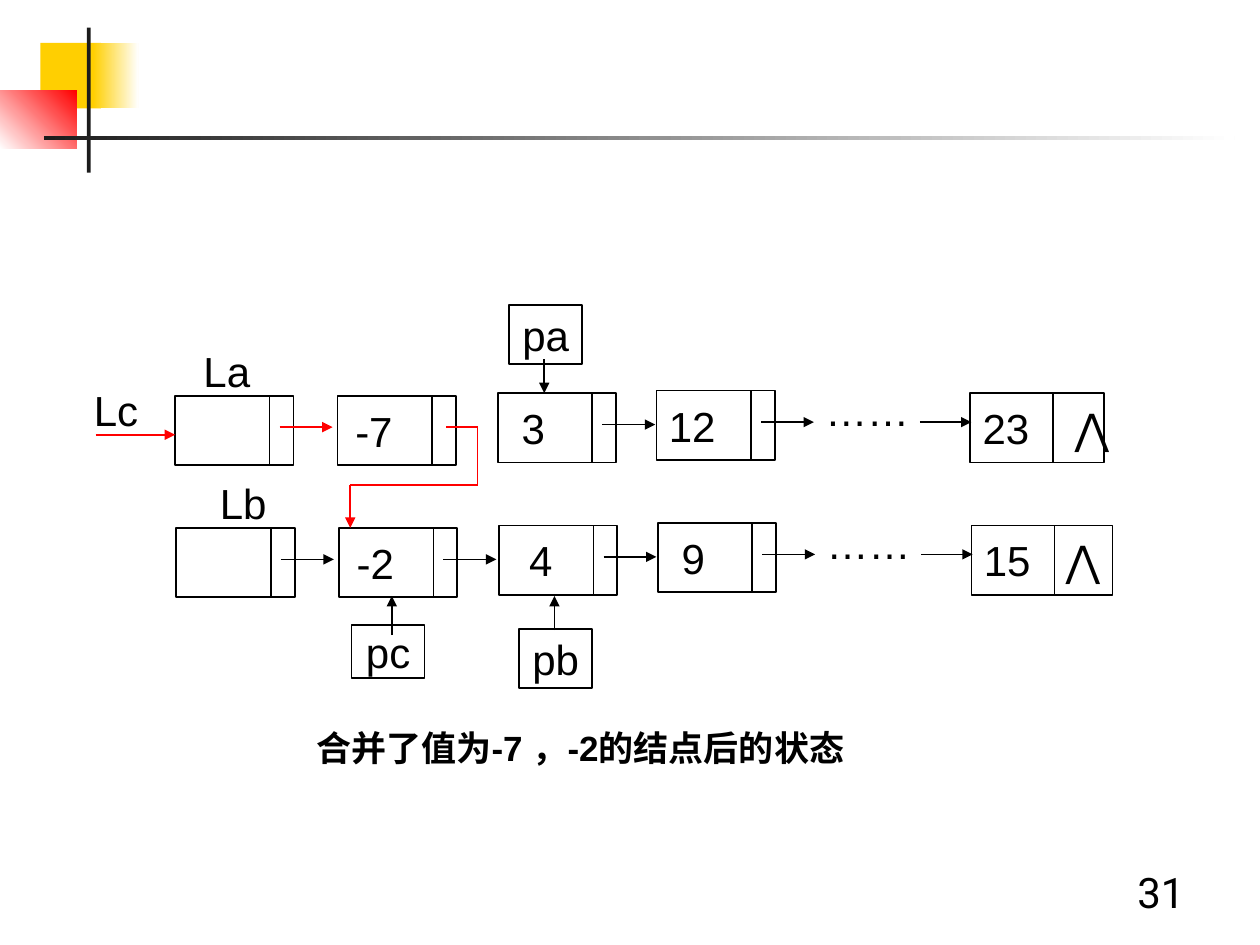
from pptx import Presentation
from pptx.dml.color import RGBColor
from pptx.enum.shapes import MSO_CONNECTOR, MSO_SHAPE
from pptx.enum.text import MSO_ANCHOR, PP_ALIGN
from pptx.oxml.ns import qn
from pptx.util import Inches, Pt
from lxml.etree import SubElement

BLACK, RED, YELLOW, WHITE, DARK = "000000", "FF0000", "FFCF01", "FFFFFF", "1C1C1C"


def color(value):
    return RGBColor.from_string(value)


class ListDiagram:
    """Draws linked-list elements on one slide in a shared style."""

    font = "Arial"
    size = 24
    node_width = 0.94
    node_height = 0.55

    def __init__(self, slide):
        self.slide = slide

    def rectangle(self, left, top, width, height):
        shape = self.slide.shapes.add_shape(
            MSO_SHAPE.RECTANGLE, Inches(left), Inches(top), Inches(width), Inches(height))
        shape.shadow.inherit = False
        return shape

    def block(self, left, top, width, height, start, end=None, angle=0):
        shape = self.rectangle(left, top, width, height)
        shape.line.fill.background()
        if end is None:
            shape.fill.solid()
            shape.fill.fore_color.rgb = color(start)
            return
        shape.fill.gradient()
        shape.fill.gradient_angle = angle
        for stop, position, value in zip(shape.fill.gradient_stops, (0, 1), (start, end)):
            stop.position = position
            stop.color.rgb = color(value)

    def set_text(self, shape, text, align=PP_ALIGN.CENTER, anchor=MSO_ANCHOR.MIDDLE,
                 wrap=False, inset=0.1, tab=None, font=None, size=None, bold=False):
        frame = shape.text_frame
        frame.word_wrap = wrap
        frame.vertical_anchor = anchor
        frame.margin_left = Inches(inset)
        paragraph = frame.paragraphs[0]
        paragraph.text = text
        paragraph.alignment = align
        if tab:
            tabs = SubElement(paragraph._p.get_or_add_pPr(), qn("a:tabLst"))
            SubElement(tabs, qn("a:tab"), pos=str(Inches(tab)), algn="l")
        paragraph.font.name = font or self.font
        paragraph.font.size = Pt(size or self.size)
        paragraph.font.bold = bold
        paragraph.font.color.rgb = color(BLACK)

    def label(self, left, top, width, height, text, **style):
        box = self.slide.shapes.add_textbox(
            Inches(left), Inches(top), Inches(width), Inches(height))
        self.set_text(box, text, **style)

    def box(self, left, top, width, height, text="", **style):
        shape = self.rectangle(left, top, width, height)
        shape.fill.background()
        shape.line.color.rgb = color(BLACK)
        shape.line.width = Pt(1)
        if text:
            self.set_text(shape, text, **style)

    def line(self, x1, y1, x2, y2, stroke=BLACK, arrow=False):
        connector = self.slide.shapes.add_connector(
            MSO_CONNECTOR.STRAIGHT, Inches(x1), Inches(y1), Inches(x2), Inches(y2))
        connector.line.color.rgb = color(stroke)
        connector.line.width = Pt(1)
        properties = connector._element.spPr
        if arrow:
            SubElement(properties.find(qn("a:ln")), qn("a:tailEnd"), type="triangle")
        SubElement(properties, qn("a:effectLst"))

    def node(self, left, top, text="", inset=0.1, link=BLACK):
        self.box(left, top, self.node_width, self.node_height, text,
                 align=PP_ALIGN.LEFT, wrap=True, inset=inset)
        self.line(left + 0.75, top, left + 0.75, top + self.node_height)
        if link:
            self.line(left + 0.83, top + 0.25, left + 1.25, top + 0.25, link, arrow=True)

    def last_node(self, left, top, width, text, tab):
        self.label(left - 1.19, top - 0.14, self.node_width, self.node_height, "……",
                   align=PP_ALIGN.LEFT, wrap=True, inset=0.04)
        self.line(left - 0.4, top + 0.23, left + 0.01, top + 0.23, arrow=True)
        self.box(left, top, width, self.node_height, text, align=PP_ALIGN.LEFT, tab=tab)
        self.line(left + 0.66, top, left + 0.66, top + self.node_height)


def main():
    presentation = Presentation()
    presentation.slide_width, presentation.slide_height = Inches(10), Inches(7.5)
    slide = presentation.slides.add_slide(presentation.slide_layouts[6])
    diagram = ListDiagram(slide)

    diagram.block(0.32, 0.34, 0.48, 0.52, YELLOW)
    diagram.block(0.74, 0.34, 0.36, 0.52, YELLOW, WHITE)
    diagram.block(0, 0.72, 0.61, 0.46, WHITE, RED, angle=45)
    diagram.block(0.69, 0.22, 0.03, 1.15, DARK)
    diagram.block(0.35, 1.08, 9.45, 0.03, DARK, WHITE)

    columns = [(1.39, 3.14), (2.68, 3.14), (3.95, 3.12), (5.21, 3.1)]
    list_a = [("", 0.1, RED), ("-7", 0.14, None), ("3", 0.19, BLACK), ("12", 0.1, BLACK)]
    list_b = [("", 0.1, BLACK), ("-2", 0.14, BLACK), ("4", 0.24, BLACK), ("9", 0.19, BLACK)]
    last_nodes = [(1.06, "23\t⋀", 0.73), (1.12, "15\t⋀", 0.65)]
    for row, (nodes, last) in enumerate(zip((list_a, list_b), last_nodes)):
        shift, drop = 0.01 * row, 1.05 * row
        for (left, top), (text, inset, link) in zip(columns, nodes):
            diagram.node(left + shift, top + drop, text, inset, link)
        diagram.last_node(7.7 + shift, 3.12 + drop, *last)

    diagram.label(1.46, 2.69, 0.68, 0.5, "La")
    diagram.label(1.47, 3.74, 0.92, 0.5, "Lb")
    diagram.label(0.63, 3.04, 0.58, 0.42, "Lc")
    diagram.line(0.76, 3.45, 1.39, 3.45, RED, arrow=True)

    route = [(3.54, 3.39), (3.79, 3.39), (3.79, 3.85), (2.78, 3.85), (2.78, 4.19)]
    for start, end in zip(route, route[1:]):
        diagram.line(*start, *end, RED, arrow=end == route[-1])

    pointers = [("pa", 4.04, 2.42, 0.47, (4.32, 2.85, 4.32, 3.12)),
                ("pb", 4.12, 4.99, 0.47, (4.4, 5, 4.4, 4.73)),
                ("pc", 2.79, 4.96, 0.42, (3.11, 5.04, 3.11, 4.73))]
    for name, left, top, height, arrow in pointers:
        diagram.box(left, top, 0.58, height, name)
        diagram.line(*arrow, arrow=True)

    diagram.label(1.69, 5.7, 5.83, 0.47, "合并了值为-7 ，-2的结点后的状态",
                  wrap=True, size=20, bold=True)
    diagram.label(7.17, 6.83, 2.33, 0.5, "31", align=PP_ALIGN.RIGHT,
                  anchor=MSO_ANCHOR.TOP, wrap=True, font="Roboto")
    presentation.save("out.pptx")


if __name__ == "__main__":
    main()
